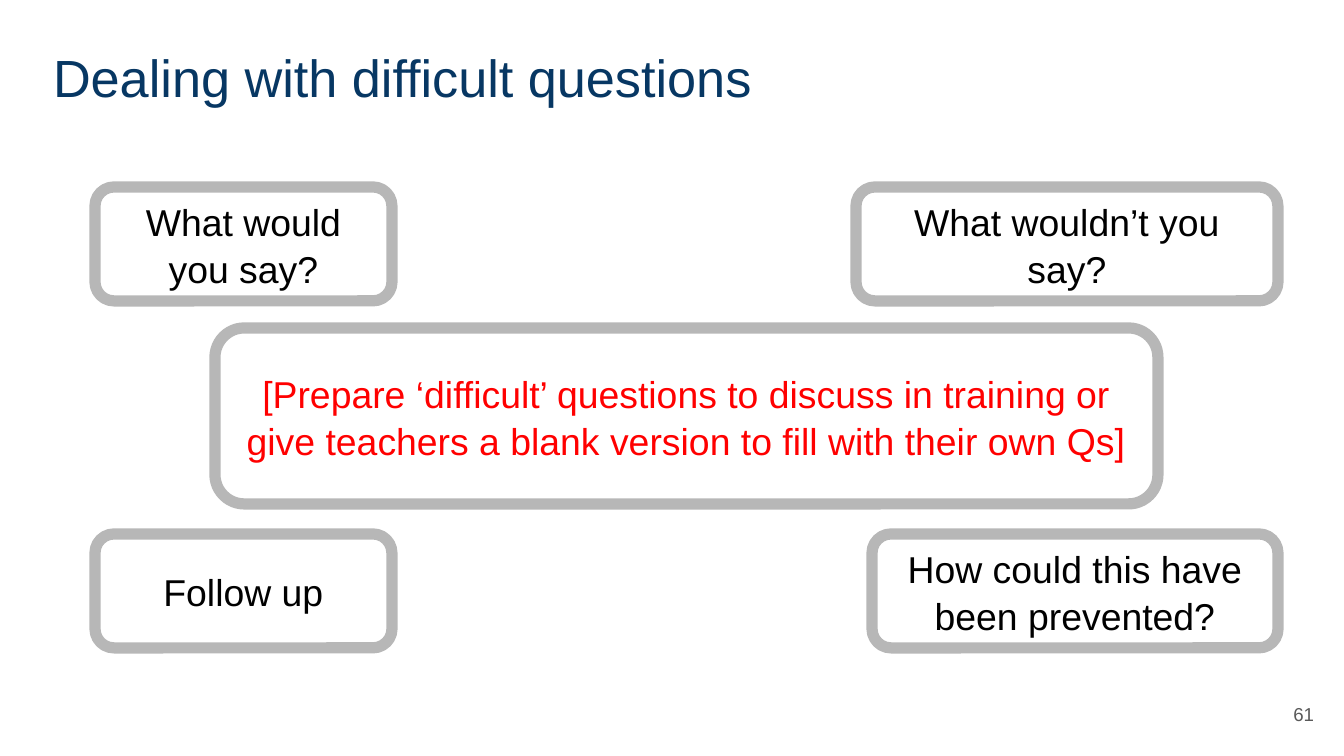
from pptx import Presentation
from pptx import util as u
from pptx.dml.color import RGBColor
from pptx.enum import shapes, text

SCALE = 914400 / 134.4


def px(n):
    return u.Emu(round(n * SCALE))


def rgb(value):
    return RGBColor.from_string(value)


class Deck:
    font = "Arial"
    border = "B7B7B7"
    inset = 13

    def __init__(self, prs):
        self.s = prs.slides.add_slide(prs.slide_layouts[6])

    def add_words(self, sp, words, size, color, align, anchor, spacing=1.0):
        tf = sp.text_frame
        tf.word_wrap = True
        tf.vertical_anchor = anchor
        tf.margin_left = tf.margin_right = px(self.inset)
        tf.margin_top = tf.margin_bottom = px(self.inset)
        p = tf.paragraphs[0]
        p.alignment = align
        p.line_spacing = spacing
        r = p.add_run()
        r.text = words
        r.font.name = self.font
        r.font.size = u.Pt(size)
        r.font.color.rgb = rgb(color)

    def label(self, x, y, w, h, words, size, color,
              align=text.PP_ALIGN.LEFT, anchor=text.MSO_ANCHOR.TOP):
        sp = self.s.shapes.add_textbox(px(x), px(y), px(w), px(h))
        self.add_words(sp, words, size, color, align, anchor)

    def card(self, x, y, w, h, words, color="000000"):
        sp = self.s.shapes.add_shape(
            shapes.MSO_SHAPE.ROUNDED_RECTANGLE, px(x), px(y), px(w), px(h))
        sp.shadow.inherit = False
        sp.fill.background()
        sp.line.color.rgb = rgb(self.border)
        sp.line.width = u.Pt(6)
        self.add_words(sp, words, 20, color, text.PP_ALIGN.CENTER,
                       text.MSO_ANCHOR.MIDDLE, 1.05)


prs = Presentation()
prs.slide_width, prs.slide_height = px(1344), px(756)
deck = Deck(prs)

LEFT, RIGHT, CARD_H = 95, 1278, 114
rows = [
    (187, "What would you say?", "What wouldn’t you say?", 422),
    (534, "Follow up", "How could this have been prevented?", 406),
]
for y, left_words, right_words, right_w in rows:
    deck.card(LEFT, y, 297, CARD_H, left_words)
    deck.card(RIGHT - right_w, y, right_w, CARD_H, right_words)

deck.card(215, 328, 943, 176,
          "[Prepare ‘difficult’ questions to discuss in training or "
          "give teachers a blank version to fill with their own Qs]", "FF0000")
deck.label(40, 32, 1140, 85, "Dealing with difficult questions", 28, "073763")
deck.label(1246, 685, 81, 58, "61", 10, "595959",
           text.PP_ALIGN.RIGHT, text.MSO_ANCHOR.MIDDLE)

prs.save("out.pptx")
